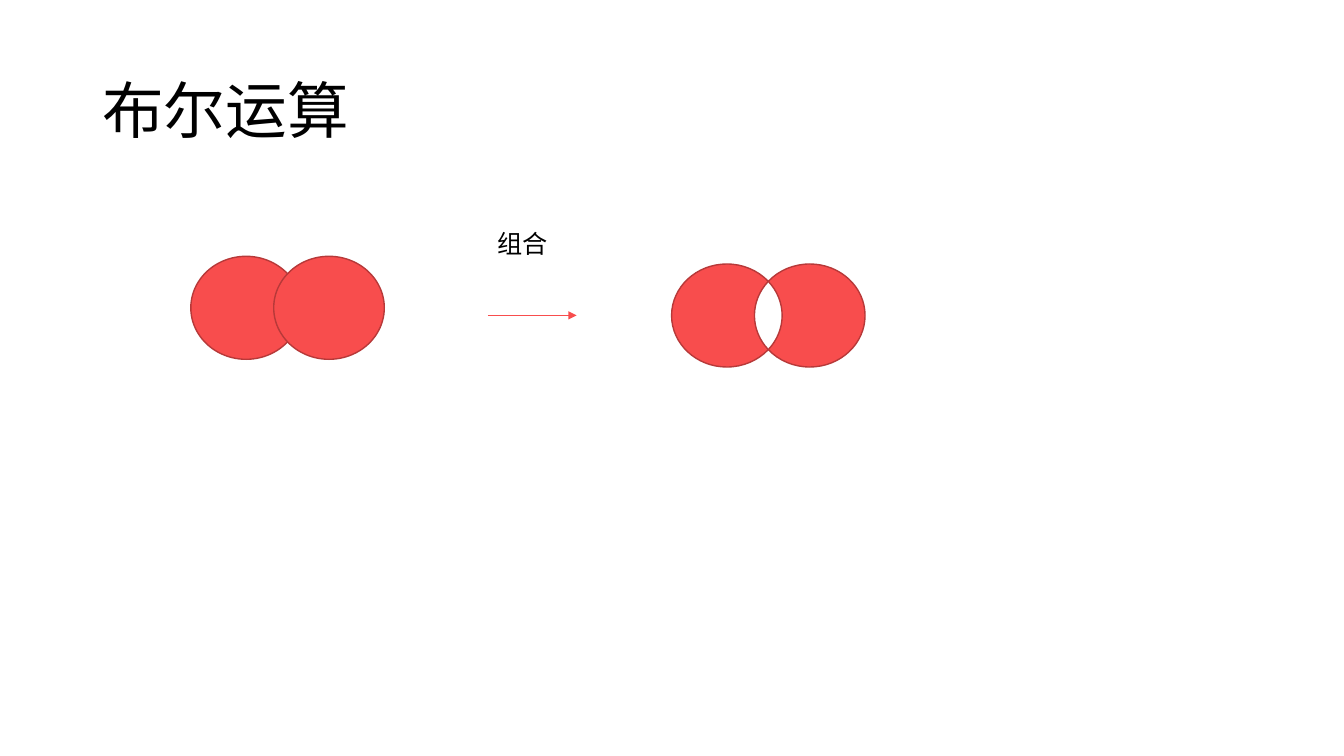
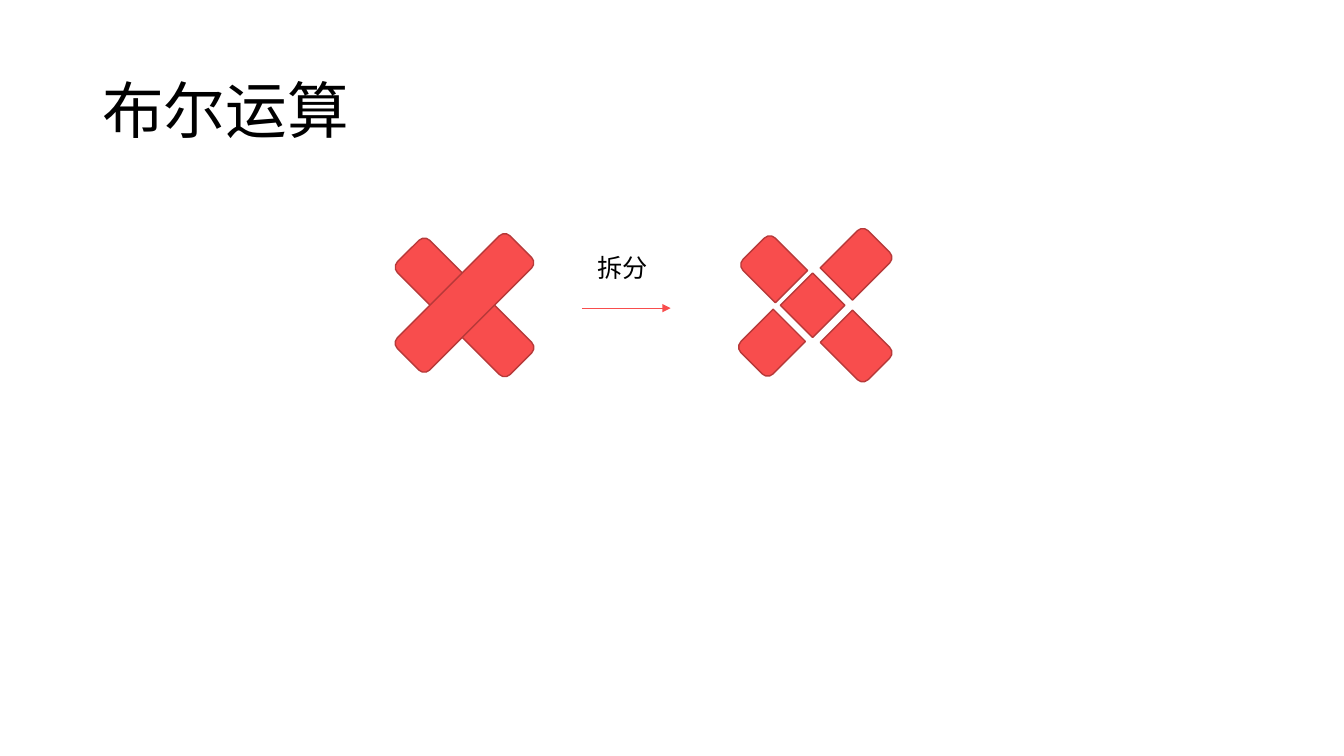
"""Build two slides that show Boolean operations on shapes: combine and fragment."""
import math
from dataclasses import dataclass
from typing import Optional

import lxml.etree
import pptx
import pptx.dml.color
import pptx.enum.shapes
import pptx.enum.text
import pptx.oxml.ns
import pptx.util

Pt = pptx.util.Pt
Kind = pptx.enum.shapes.MSO_SHAPE
Anchor = pptx.enum.text.MSO_ANCHOR
Point = tuple[float, float]

RED, DARK_RED, BLACK = "F84D4D", "B73939", "000000"
LATIN_FONT, CHINESE_FONT = "Montserrat", "Noto Sans CJK SC"

RADIUS_X, RADIUS_Y, HALF_DISTANCE = 39.5, 36.8, 29.6
BAR_WIDTH, BAR_LENGTH = 32.6, 113.8
ARROW_LENGTH = 63.4


@dataclass(frozen=True)
class Figure:
    """A preset shape placed by its centre and turned by an angle in degrees."""
    kind: Kind
    center_x: float
    center_y: float
    width: float
    height: float
    angle: float = 0


@dataclass(frozen=True)
class Text:
    """A line of text with its box and style."""
    words: str
    left: float
    top: float
    width: float = 51.1
    height: float = 29.1
    size: float = 18
    font: str = LATIN_FONT
    spacing: Optional[float] = None
    anchor: Anchor = Anchor.TOP
    wrap: bool = False


@dataclass(frozen=True)
class Step:
    """The label and arrow between the shapes before and after an operation."""
    label: Text
    arrow_left: float
    arrow_y: float


TITLE = Text("布尔运算", 66, 28.75, 828, 104.4, 44, CHINESE_FONT, 0.9, Anchor.MIDDLE, True)

CIRCLES = [
    Figure(Kind.OVAL, 205.4 + side * HALF_DISTANCE, 219.9, 2 * RADIUS_X, 2 * RADIUS_Y)
    for side in (-1, 1)
]
CROSS = [
    Figure(Kind.ROUNDED_RECTANGLE, 331.8, center_y, BAR_LENGTH, BAR_WIDTH, angle)
    for center_y, angle in ((219.6, 45), (216.4, 315))
]
FRAGMENTS = [Figure(Kind.RECTANGLE, 580.5, 218, BAR_WIDTH, BAR_WIDTH, 315)] + [
    Figure(Kind.ROUND_2_SAME_RECTANGLE, center_x, center_y, BAR_WIDTH, length, angle)
    for center_x, center_y, length, angle in (
        (612.6, 187.7, 43, 45),
        (551.9, 191.2, 38.2, 315),
        (550.3, 245.9, 38.2, 225),
        (612.6, 248.3, 43, 135),
    )
]
COMBINE = Step(Text("组合", 348.3, 159.8), 348.5, 225.3)
FRAGMENT = Step(Text("拆分", 419.6, 176.7), 415.7, 220.1)


def color(value: str) -> pptx.dml.color.RGBColor:
    """Turn a hex string into a colour."""
    return pptx.dml.color.RGBColor.from_string(value)


def paint(shape) -> None:
    """Give a shape the shared red fill and dark outline."""
    shape.shadow.inherit = False
    shape.fill.solid()
    shape.fill.fore_color.rgb = color(RED)
    shape.line.color.rgb = color(DARK_RED)
    shape.line.width = Pt(1)


def add_figure(page, figure: Figure) -> None:
    """Draw a preset shape around its centre."""
    shape = page.shapes.add_shape(
        figure.kind,
        Pt(figure.center_x - figure.width / 2),
        Pt(figure.center_y - figure.height / 2),
        Pt(figure.width),
        Pt(figure.height),
    )
    shape.rotation = figure.angle
    paint(shape)


def add_text(page, text: Text) -> None:
    """Draw a text box with one run."""
    box = page.shapes.add_textbox(Pt(text.left), Pt(text.top), Pt(text.width), Pt(text.height))
    frame = box.text_frame
    frame.word_wrap = text.wrap
    frame.vertical_anchor = text.anchor
    para = frame.paragraphs[0]
    para.line_spacing = text.spacing
    span = para.add_run()
    span.text = text.words
    span.font.size = Pt(text.size)
    span.font.name = text.font
    span.font.color.rgb = color(BLACK)
    east_asian = lxml.etree.SubElement(span.font._element, pptx.oxml.ns.qn("a:ea"))
    east_asian.set("typeface", CHINESE_FONT)


def add_arrow(page, step: Step) -> None:
    """Draw the arrow of an operation."""
    arrow = page.shapes.add_connector(
        pptx.enum.shapes.MSO_CONNECTOR.STRAIGHT,
        Pt(step.arrow_left),
        Pt(step.arrow_y),
        Pt(step.arrow_left + ARROW_LENGTH),
        Pt(step.arrow_y),
    )
    arrow.line.color.rgb = color(RED)
    arrow.line.width = Pt(0.5)
    line = arrow.line._get_or_add_ln()
    lxml.etree.SubElement(line, pptx.oxml.ns.qn("a:tailEnd")).set("type", "triangle")
    lxml.etree.SubElement(line.getparent(), pptx.oxml.ns.qn("a:effectLst"))


def curve(center_x: float, start: float, end: float) -> list[Point]:
    """List two control points and the end of the curve for an arc."""
    pull = 4 / 3 * math.tan((end - start) / 4)
    unit_points = (
        (math.cos(start) - pull * math.sin(start), math.sin(start) + pull * math.cos(start)),
        (math.cos(end) + pull * math.sin(end), math.sin(end) - pull * math.cos(end)),
        (math.cos(end), math.sin(end)),
    )
    return [(center_x + RADIUS_X * x, RADIUS_Y * y) for x, y in unit_points]


def arc(center_x: float, angles: list[float]) -> list[Point]:
    """List the curve points of an arc through the given angles."""
    return [
        point
        for start, end in zip(angles, angles[1:])
        for point in curve(center_x, start, end)
    ]


def bend(shape) -> None:
    """Turn every three straight segments of a freeform into one curve."""
    lines = list(shape._element.iter(pptx.oxml.ns.qn("a:lnTo")))
    for first in range(0, len(lines), 3):
        bezier = lxml.etree.Element(pptx.oxml.ns.qn("a:cubicBezTo"))
        lines[first].addprevious(bezier)
        for line in lines[first:first + 3]:
            bezier.append(line[0])
            line.getparent().remove(line)


def add_combined_circles(page, center_x: float, center_y: float) -> None:
    """Draw two overlapping circles as one outline without their common part."""
    pi = math.pi
    meet = math.acos(HALF_DISTANCE / RADIUS_X)
    crescent = arc(-HALF_DISTANCE, [meet, pi / 2, pi, 3 * pi / 2, 2 * pi - meet])
    crescent += arc(HALF_DISTANCE, [pi + meet, pi, pi - meet])
    left, right = (
        [(Pt(center_x + side * x), Pt(center_y + y)) for x, y in crescent] for side in (1, -1)
    )
    builder = page.shapes.build_freeform(*left[-1])
    builder.add_line_segments(left, close=True)
    builder.move_to(*right[-1])
    builder.add_line_segments(right, close=True)
    shape = builder.convert_to_shape()
    bend(shape)
    paint(shape)


def add_page(deck, step: Step, figures: list[Figure], combined: Optional[Point] = None) -> None:
    """Add a slide with an operation, its figures and the shared title."""
    page = deck.slides.add_slide(deck.slide_layouts[6])
    add_text(page, step.label)
    for figure in figures:
        add_figure(page, figure)
    add_arrow(page, step)
    if combined:
        add_combined_circles(page, *combined)
    add_text(page, TITLE)


def main() -> None:
    """Build and save the deck."""
    deck = pptx.Presentation()
    deck.slide_width, deck.slide_height = Pt(960), Pt(540)
    add_page(deck, COMBINE, CIRCLES, (548.8, 225.4))
    add_page(deck, FRAGMENT, CROSS + FRAGMENTS)
    deck.save("out.pptx")


if __name__ == "__main__":
    main()
